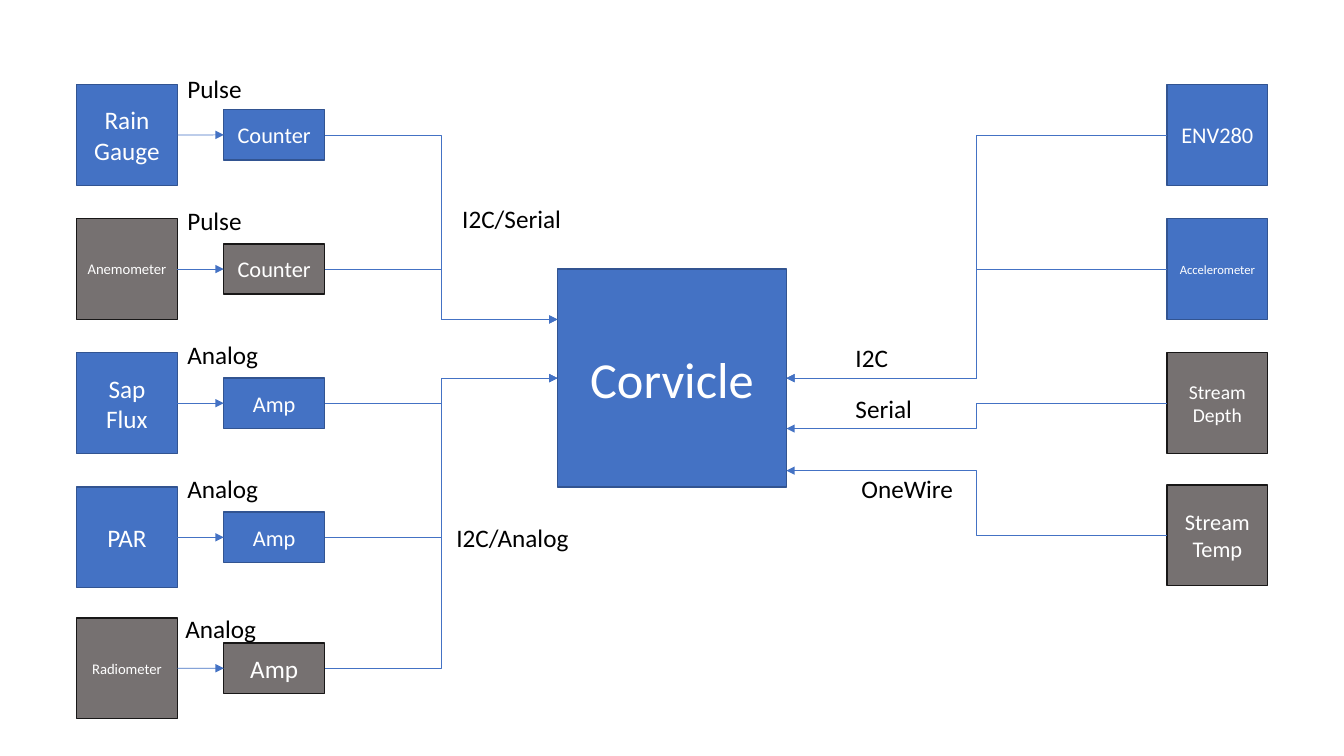
import pptx
import pptx.util
import pptx.dml.color
import pptx.enum.shapes
import pptx.enum.text
import pptx.oxml
import pptx.oxml.ns

Cm, Pt = pptx.util.Cm, pptx.util.Pt
RGB = pptx.dml.color.RGBColor
LINK = pptx.enum.shapes.MSO_CONNECTOR
BLUE, NAVY = RGB(0x44, 0x72, 0xC4), RGB(0x32, 0x54, 0x91)
GRAY, DARK = RGB(0x76, 0x71, 0x71), RGB(0x18, 0x17, 0x17)
WHITE, BLACK = RGB(0xFF, 0xFF, 0xFF), RGB(0, 0, 0)
ACTIVE, PLANNED = (BLUE, NAVY), (GRAY, DARK)
FONT = "Calibri"

# Lengths in centimetres
SIDE, MODULE_H = 2.54, 1.27
LEFT_X, MODULE_X, RIGHT_X = 1.93, 5.64, 29.41
HUB = (14.05, 6.78, 5.77, 5.49)
HUB_NAME = "Corvicle"
PULSE_PORT, ANALOG_PORT = 8.05, 9.53
I2C_PORT, SERIAL_PORT, ONEWIRE_PORT = 9.53, 10.8, 11.86

# sensor, size, top, module, size, colours, hub port
LEFT_SENSORS = [
    ("Rain Gauge", 18, 2.13, "Counter", 16, ACTIVE, PULSE_PORT),
    ("Anemometer", 10.5, 5.51, "Counter", 16, PLANNED, PULSE_PORT),
    ("Sap Flux", 18, 8.89, "Amp", 16, ACTIVE, ANALOG_PORT),
    ("PAR", 18, 12.27, "Amp", 16, ACTIVE, ANALOG_PORT),
    ("Radiometer", 10.5, 15.57, "Amp", 18, PLANNED, ANALOG_PORT),
]
# sensor, size, top, colours, hub port
RIGHT_SENSORS = [
    ("ENV280", 16, 2.13, ACTIVE, I2C_PORT),
    ("Accelerometer", 9, 5.51, ACTIVE, I2C_PORT),
    ("Stream Depth", 14, 8.89, PLANNED, SERIAL_PORT),
    ("Stream Temp", 16, 12.22, PLANNED, ONEWIRE_PORT),
]
# signal, left, top, width
SIGNALS = [
    ("Pulse", 4.47, 1.73, 1.91),
    ("Pulse", 4.47, 5.05, 1.91),
    ("Analog", 4.47, 8.43, 2.31),
    ("Analog", 4.47, 11.81, 2.31),
    ("Analog", 4.42, 15.32, 2.31),
    ("I2C/Analog", 11.25, 13.03, 3.38),
    ("I2C/Serial", 11.4, 5, 3.02),
    ("I2C", 21.31, 8.51, 1.35),
    ("Serial", 21.31, 9.78, 1.96),
    ("OneWire", 21.46, 11.81, 2.84),
]


def add_run(p, text, size, color):
    """Add one formatted run to a paragraph."""
    r = p.add_run()
    r.text = text
    r.font.name, r.font.size = FONT, Pt(size)
    r.font.color.rgb = color


def add_box(s, text, size, colors, x, y, w, h):
    """Add a filled rectangle with centred white text."""
    sp = s.shapes.add_shape(pptx.enum.shapes.MSO_SHAPE.RECTANGLE,
                            Cm(x), Cm(y), Cm(w), Cm(h))
    sp.shadow.inherit = False
    sp.fill.solid()
    sp.fill.fore_color.rgb, sp.line.color.rgb = colors
    sp.line.width = Pt(1)
    tf = sp.text_frame
    tf.word_wrap = True
    tf.vertical_anchor = pptx.enum.text.MSO_ANCHOR.MIDDLE
    p = tf.paragraphs[0]
    p.alignment = pptx.enum.text.PP_ALIGN.CENTER
    add_run(p, text, size, WHITE)
    return sp


def add_label(s, text, x, y, w):
    """Add a signal name beside its line."""
    tf = s.shapes.add_textbox(Cm(x), Cm(y), Cm(w), Cm(1.03)).text_frame
    tf.word_wrap = False
    tf.auto_size = pptx.enum.text.MSO_AUTO_SIZE.SHAPE_TO_FIT_TEXT
    add_run(tf.paragraphs[0], text, 18, BLACK)


def add_arrow(s, kind, x1, y1, x2, y2):
    """Add a thin blue connector with an arrowhead at its end."""
    cx = s.shapes.add_connector(kind, Cm(x1), Cm(y1), Cm(x2), Cm(y2))
    cx.line.color.rgb, cx.line.width = BLUE, Pt(0.5)
    qn = pptx.oxml.ns.qn
    pr = cx.line._get_or_add_ln()
    pr.append(pr.makeelement(qn("a:tailEnd"), {"type": "triangle"}))
    pr.getparent().append(pr.makeelement(qn("a:effectLst"), {}))
    return cx


prs = pptx.Presentation()
prs.slide_width, prs.slide_height = Cm(33.87), Cm(19.05)
s = prs.slides.add_slide(prs.slide_layouts[6])

hub_left, hub_right = HUB[0], HUB[0] + HUB[2]
add_box(s, HUB_NAME, 36, ACTIVE, *HUB)

for name, size, top, module, module_size, colors, port in LEFT_SENSORS:
    mid = top + SIDE / 2
    sensor = add_box(s, name, size, colors, LEFT_X, top, SIDE, SIDE)
    unit = add_box(s, module, module_size, colors,
                   MODULE_X, mid - MODULE_H / 2, SIDE, MODULE_H)
    cx = add_arrow(s, LINK.STRAIGHT, LEFT_X + SIDE, mid, MODULE_X, mid)
    cx.begin_connect(sensor, 3)
    cx.end_connect(unit, 1)
    add_arrow(s, LINK.ELBOW, MODULE_X + SIDE, mid, hub_left, port)

for name, size, top, colors, port in RIGHT_SENSORS:
    add_box(s, name, size, colors, RIGHT_X, top, SIDE, SIDE)
    add_arrow(s, LINK.ELBOW, RIGHT_X, top + SIDE / 2, hub_right, port)

for signal in SIGNALS:
    add_label(s, *signal)

prs.save("out.pptx")
